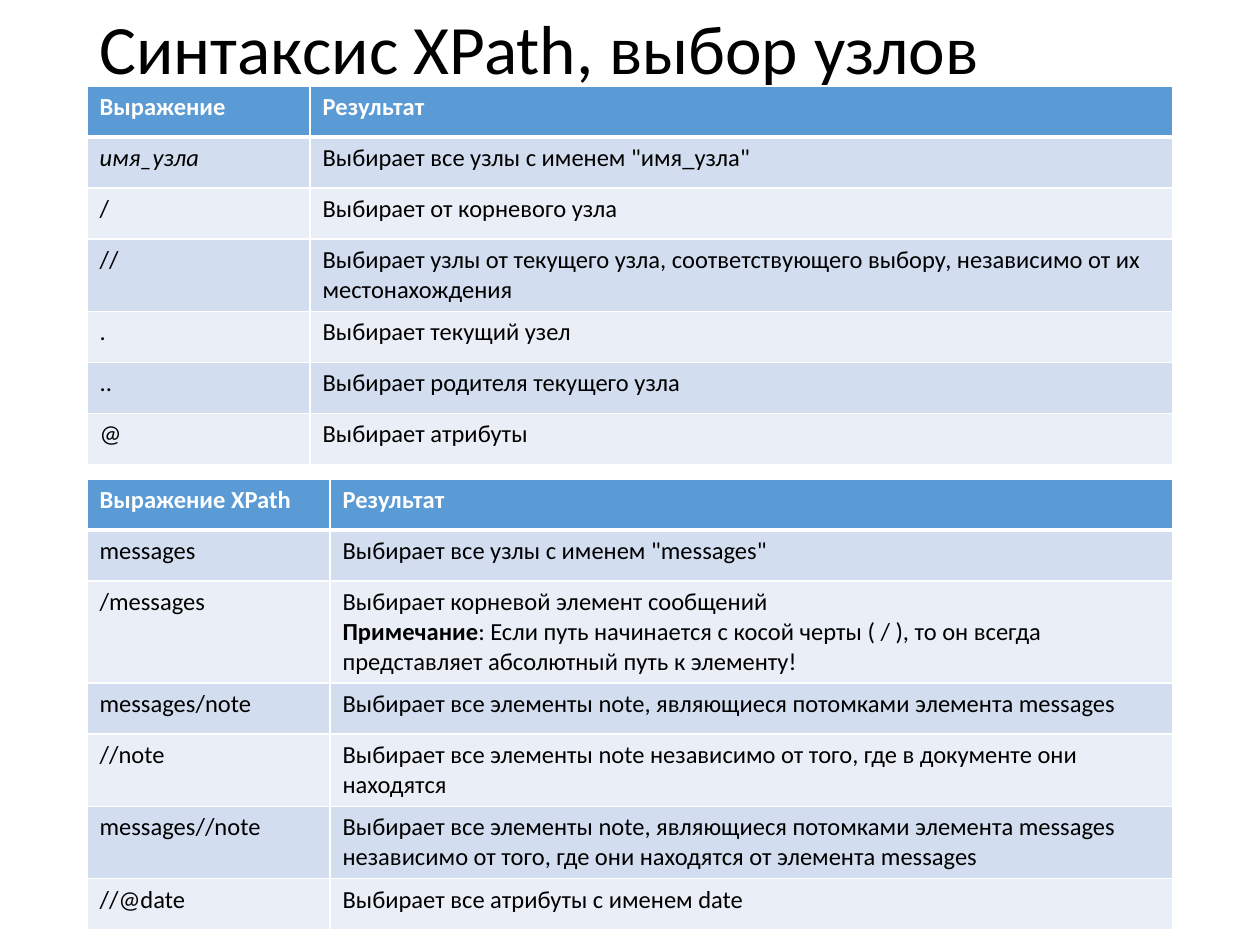
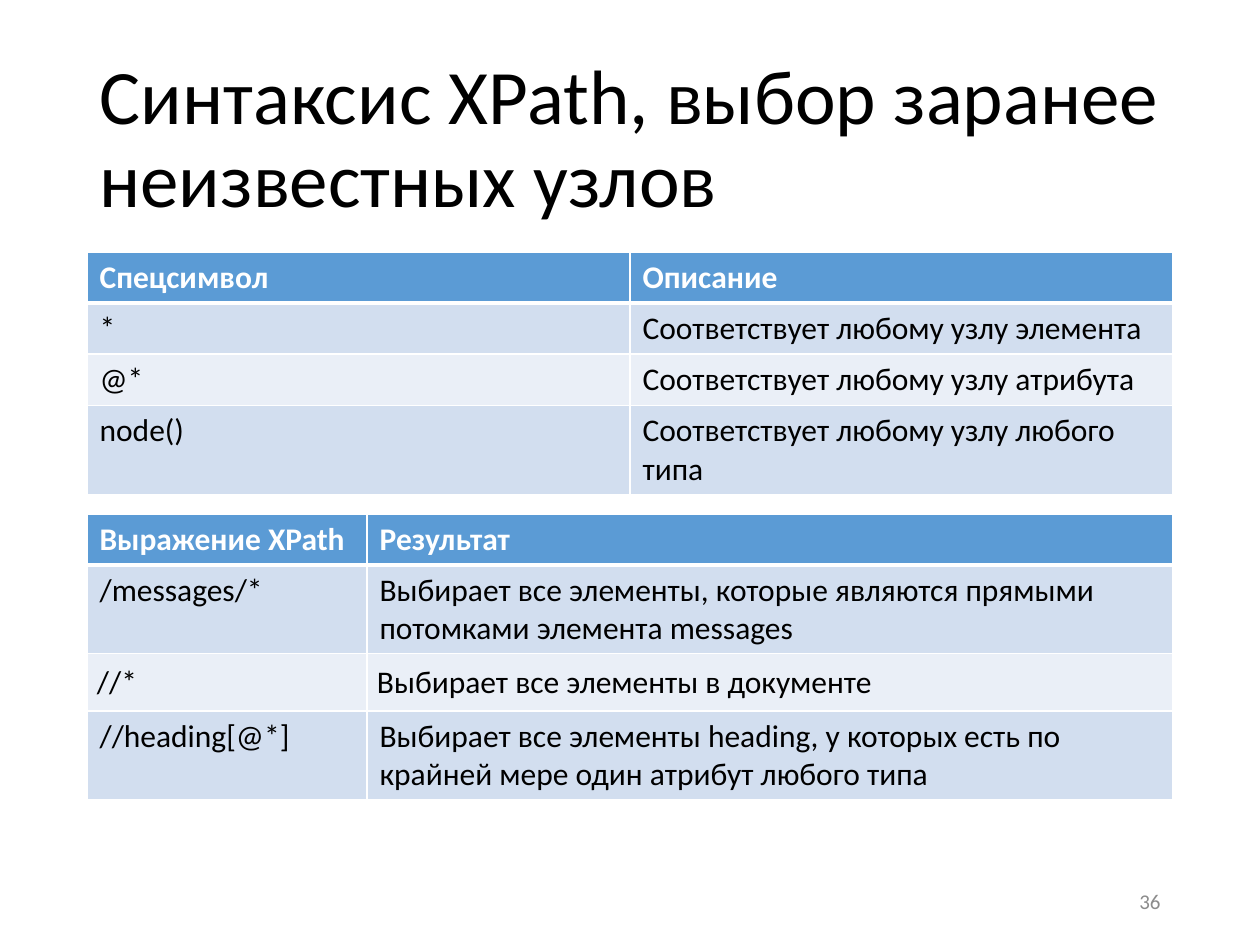
from dataclasses import dataclass
from lxml.etree import SubElement
from pptx import Presentation
from pptx.dml.color import RGBColor
from pptx.enum.text import MSO_ANCHOR, MSO_AUTO_SIZE, PP_ALIGN
from pptx.oxml.ns import qn
from pptx.util import Emu, Pt

PIXELS_PER_INCH = 126


@dataclass(frozen=True)
class Theme:
    """Colours, font, type sizes and line widths of the deck."""
    font: str = "Calibri"
    text: str = "000000"
    white: str = "FFFFFF"
    header: str = "5B9BD5"
    bands: tuple = ("D2DEEF", "EAEFF7")
    muted: str = "8C8C8C"
    title: float = 44
    title_compact: float = 39.6
    table: int = 18
    table_compact: int = 14
    number: int = 12
    rule: int = 1
    header_rule: int = 3


@dataclass(frozen=True)
class Box:
    """A rectangle in px."""
    left: int
    top: int
    width: int
    height: int

    def emu(self):
        """Return left, top, width and height as lengths."""
        return [px(side) for side in (self.left, self.top, self.width, self.height)]


@dataclass(frozen=True)
class Span:
    """A stretch of text with its own weight and slant."""
    text: str
    bold: bool = False
    italic: bool = False
    breaks: bool = False


THEME = Theme()
LEFT, WIDTH, ROW = 87, 1086, 51

NODE_SYNTAX = [
    ("Выражение", "Результат"),
    (Span("имя_узла", italic=True), 'Выбирает все узлы с именем "имя_узла"'),
    ("/", "Выбирает от корневого узла"),
    ("//", "Выбирает узлы от текущего узла, соответствующего выбору, независимо от их местонахождения"),
    (".", "Выбирает текущий узел"),
    ("..", "Выбирает родителя текущего узла"),
    ("@", "Выбирает атрибуты"),
]
NODE_EXAMPLES = [
    ("Выражение XPath", "Результат"),
    ("messages", 'Выбирает все узлы с именем "messages"'),
    ("/messages", [
        Span("Выбирает корневой элемент сообщений", breaks=True),
        Span("Примечание", bold=True),
        Span(": Если путь начинается с косой черты ( / ), то он всегда представляет абсолютный путь к элементу!"),
    ]),
    ("messages/note", "Выбирает все элементы note, являющиеся потомками элемента messages"),
    ("//note", "Выбирает все элементы note независимо от того, где в документе они находятся"),
    ("messages//note", "Выбирает все элементы note, являющиеся потомками элемента messages "
                       "независимо от того, где они находятся от элемента messages"),
    ("//@date", "Выбирает все атрибуты с именем date"),
]
WILDCARDS = [
    ("Спецсимвол", "Описание"),
    ("*", "Соответствует любому узлу элемента"),
    ("@*", "Соответствует любому узлу атрибута"),
    ("node()", "Соответствует любому узлу любого типа"),
]
WILDCARD_EXAMPLES = [
    ("Выражение XPath", "Результат"),
    ("/messages/*", "Выбирает все элементы, которые являются прямыми потомками элемента messages"),
    ("//*", "Выбирает все элементы в документе"),
    ("//heading[@*]", "Выбирает все элементы heading, у которых есть по крайней мере один атрибут любого типа"),
]


def px(length):
    """Turn px into EMU."""
    return Emu(round(length * 914400 / PIXELS_PER_INCH))


def add_span(para, span, size, color, bold=False):
    """Add one formatted run, with a line break after it if asked."""
    run = para.add_run()
    run.text = span.text
    run.font.name = THEME.font
    run.font.size = Pt(size)
    run.font.bold = bold or span.bold
    run.font.italic = span.italic
    run.font.color.rgb = RGBColor.from_string(color)
    if span.breaks:
        para.add_line_break()


def as_spans(content):
    """Return cell content as a list of spans."""
    if isinstance(content, str):
        return [Span(content)]
    return [content] if isinstance(content, Span) else content


def add_borders(cell, top, bottom):
    """Draw white borders with the given top and bottom widths in points."""
    properties = cell._tc.get_or_add_tcPr()
    widths = {"a:lnL": THEME.rule, "a:lnR": THEME.rule, "a:lnT": top, "a:lnB": bottom}
    for tag, width in widths.items():
        line = SubElement(properties, qn(tag), w=str(Pt(width)))
        fill = SubElement(line, qn("a:solidFill"))
        SubElement(fill, qn("a:srgbClr"), val=THEME.white)


def add_cell(cell, content, row, size):
    """Write and colour one cell according to its row."""
    is_header = row == 0
    add_borders(cell,
                top=THEME.header_rule if row == 1 else THEME.rule,
                bottom=THEME.header_rule if is_header else THEME.rule)
    cell.fill.solid()
    color = THEME.header if is_header else THEME.bands[(row - 1) % 2]
    cell.fill.fore_color.rgb = RGBColor.from_string(color)
    for span in as_spans(content):
        add_span(cell.text_frame.paragraphs[0], span, size,
                 THEME.white if is_header else THEME.text, is_header)


def add_banded_table(page, box, first_column, rows, size):
    """Place a two-column table with a header and banded rows."""
    table = page.shapes.add_table(len(rows), 2, *box.emu()).table
    table.horz_banding = False
    table.columns[0].width = px(first_column)
    table.columns[1].width = px(box.width - first_column)
    for index, contents in enumerate(rows):
        table.rows[index].height = px(ROW)
        for column, content in enumerate(contents):
            add_cell(table.cell(index, column), content, index, size)
    return table


def pad_row(table, row, inset):
    """Give each cell of a row equal insets."""
    for cell in table.rows[row].cells:
        cell.margin_left = cell.margin_right = px(inset)
        cell.margin_top = cell.margin_bottom = px(inset)


def set_title(page, box, text, size):
    """Move and fill the title placeholder."""
    title = page.shapes.title
    title.left, title.top, title.width, title.height = box.emu()
    frame = title.text_frame
    frame.auto_size = MSO_AUTO_SIZE.NONE
    frame.vertical_anchor = MSO_ANCHOR.MIDDLE
    para = frame.paragraphs[0]
    para.alignment = PP_ALIGN.LEFT
    para.line_spacing = 0.9
    add_span(para, Span(text), size, THEME.text)


def add_page_number(page, box, number):
    """Place the page number at the lower right."""
    frame = page.shapes.add_textbox(*box.emu()).text_frame
    frame.word_wrap = True
    frame.vertical_anchor = MSO_ANCHOR.MIDDLE
    frame.paragraphs[0].alignment = PP_ALIGN.RIGHT
    add_span(frame.paragraphs[0], Span(number), THEME.number, THEME.muted)


def table_box(top, rows):
    """Return the box of a full-width table."""
    return Box(LEFT, top, WIDTH, ROW * len(rows))


def build_node_page(page):
    """Build the page on selecting nodes."""
    set_title(page, Box(LEFT, 20, WIDTH, 64), "Синтаксис XPath, выбор узлов", THEME.title_compact)
    add_banded_table(page, table_box(86, NODE_SYNTAX), 223, NODE_SYNTAX, THEME.table_compact)
    add_banded_table(page, table_box(479, NODE_EXAMPLES), 243, NODE_EXAMPLES, THEME.table_compact)


def build_wildcard_page(page):
    """Build the page on selecting unknown nodes."""
    set_title(page, Box(LEFT, 50, WIDTH, 183),
              "Синтаксис XPath, выбор заранее неизвестных узлов", THEME.title)
    add_banded_table(page, table_box(252, WILDCARDS), WIDTH // 2, WILDCARDS, THEME.table)
    add_page_number(page, Box(890, 876, 283, 50), "36")
    examples = add_banded_table(page, table_box(514, WILDCARD_EXAMPLES), 280,
                                WILDCARD_EXAMPLES, THEME.table)
    pad_row(examples, 2, 10)


def main():
    """Build and save the deck."""
    deck = Presentation()
    deck.slide_width, deck.slide_height = px(1260), px(945)
    title_only = deck.slide_layouts[5]
    for build in (build_node_page, build_wildcard_page):
        build(deck.slides.add_slide(title_only))
    deck.save("out.pptx")


if __name__ == "__main__":
    main()
